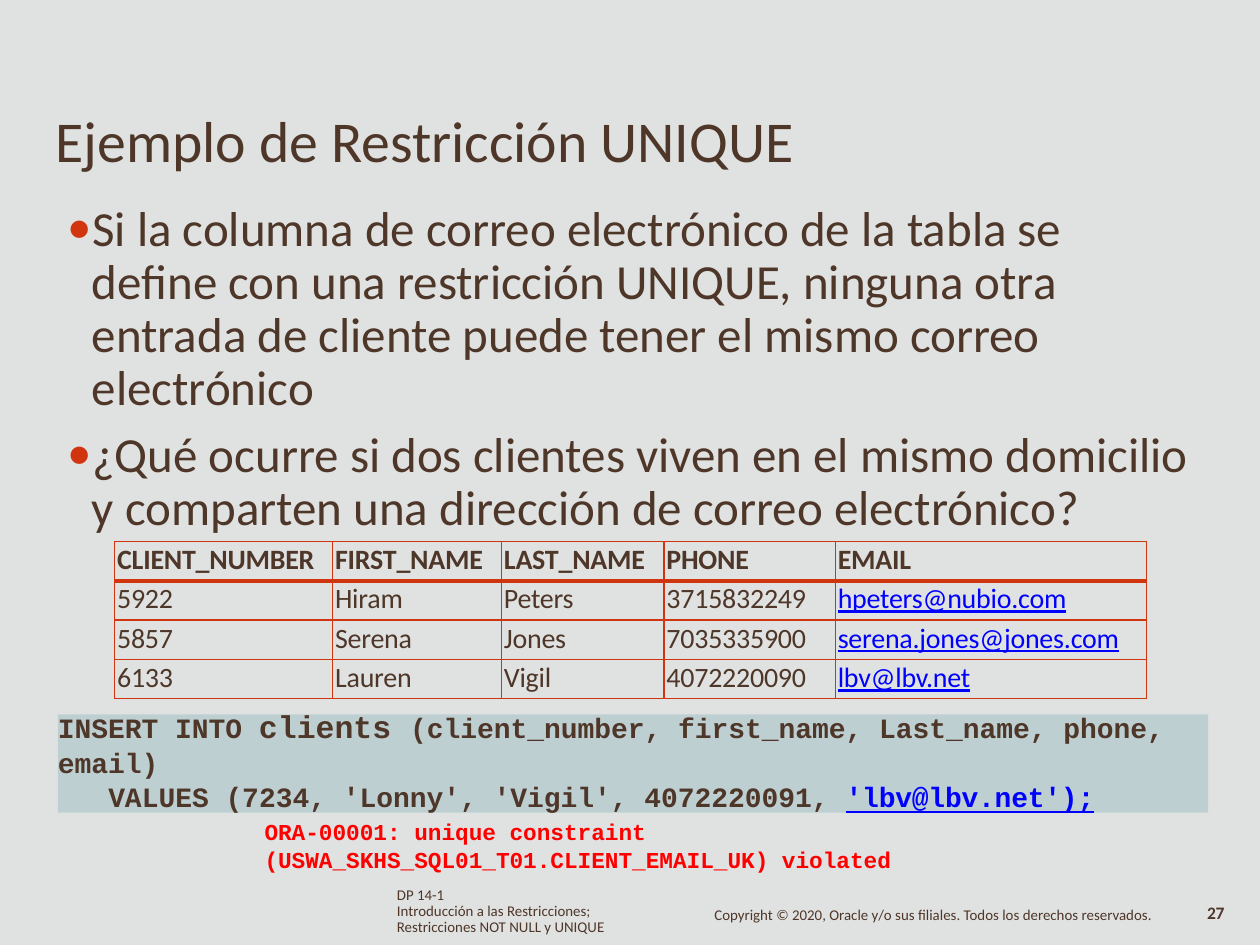
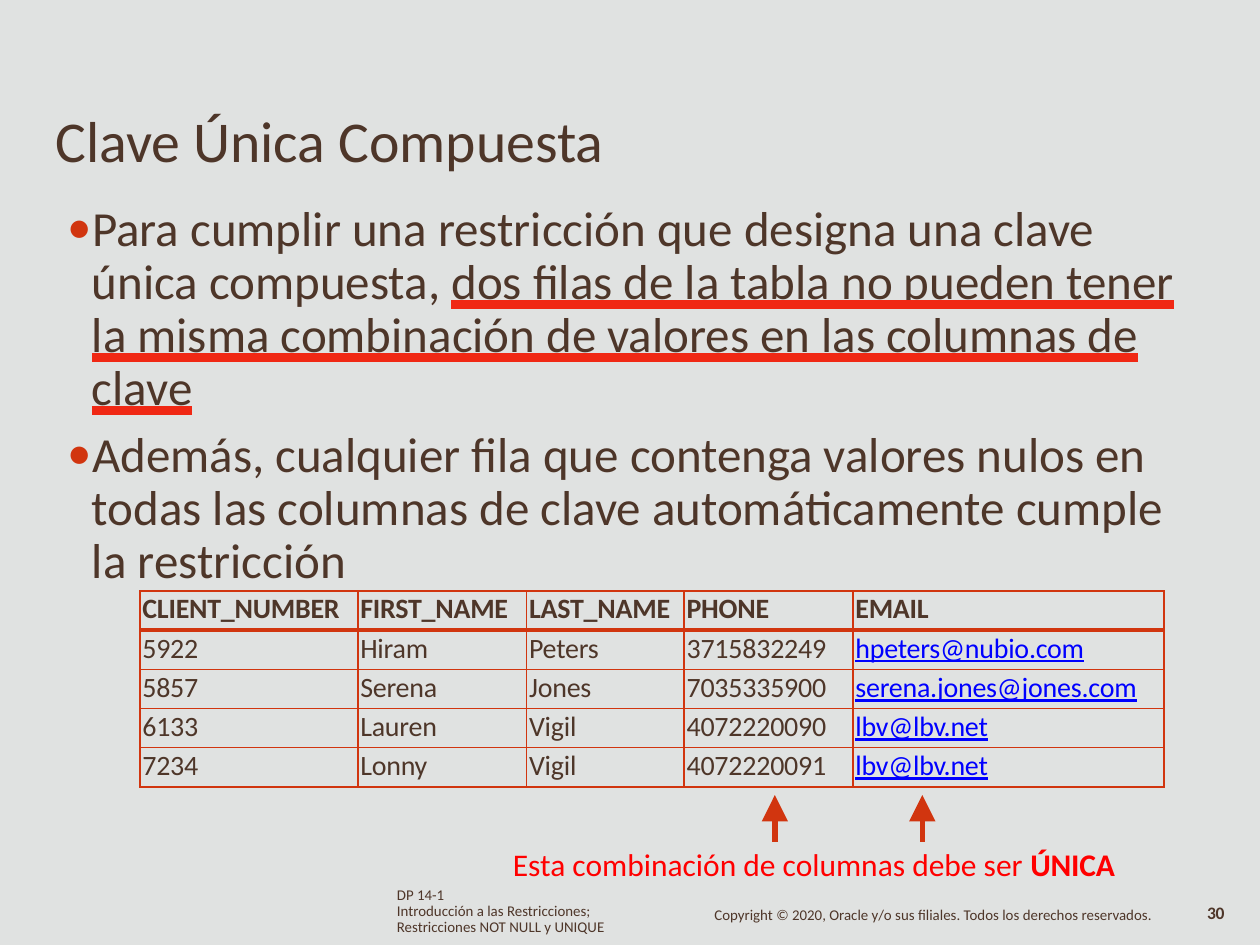
import pptx
import pptx.dml.color
import pptx.enum.shapes
import pptx.enum.text
import pptx.oxml
import pptx.oxml.ns
import pptx.util
import lxml.etree

WIDTH, HEIGHT = 10, 7.5
PAPER, BROWN, RUST, RED = "E0E2E1", "4E3629", "D1350F", "FF0000"
LINK, CODE_FILL, MARK = "0000FF", "9DBEC4", "F02814"
SANS, MONO = "Calibri", "Courier New"

FOOTERS = [
    ((31.4, 93.95, 17.5, 5.3), ["DP 14-1", "Introducción a las Restricciones; Restricciones NOT NULL y UNIQUE"]),
    ((56.6, 96.03, 38, 2), ["Copyright © 2020, Oracle y/o sus filiales. Todos los derechos reservados."]),
]
HEADER = ("CLIENT_NUMBER", "FIRST_NAME", "LAST_NAME", "PHONE", "EMAIL")
CLIENTS = [
    ("5922", "Hiram", "Peters", "3715832249", "hpeters@nubio.com"),
    ("5857", "Serena", "Jones", "7035335900", "serena.jones@jones.com"),
    ("6133", "Lauren", "Vigil", "4072220090", "lbv@lbv.net"),
    ("7234", "Lonny", "Vigil", "4072220091", "lbv@lbv.net"),
]
ROW_HEIGHT = 4.15

UNIQUE_PAGE = {
    "title": "Ejemplo de Restricción UNIQUE",
    "number": "27",
    "bullets": [
        "Si la columna de correo electrónico de la tabla se\vdefine con una restricción UNIQUE, "
        "ninguna otra\ventrada de cliente puede tener el mismo correo\velectrónico",
        "¿Qué ocurre si dos clientes viven en el mismo domicilio\v"
        "y comparten una dirección de correo electrónico?",
    ],
    "corner": (9.1, 57.33),
    "columns": (17.3, 13.4, 12.9, 13.6, 24.7),
    "clients": CLIENTS[:3],
}
COMPOSITE_PAGE = {
    "title": "Clave Única Compuesta",
    "number": "30",
    "bullets": [
        ["Para cumplir una restricción que designa una clave\vúnica compuesta, ",
         ("dos filas de la tabla no pueden tener\vla misma combinación de valores en "
          "las columnas de\vclave", {"mark": MARK})],
        "Además, cualquier fila que contenga valores nulos en\v"
        "todas las columnas de clave automáticamente cumple\vla restricción",
    ],
    "corner": (11.1, 62.53),
    "columns": (17.3, 13.4, 12.5, 13.4, 24.7),
    "clients": CLIENTS,
}
INSERT_LINES = [
    ["INSERT INTO ", ("clients ", {"size": 18}), "(client_number, first_name, Last_name, phone,"],
    "email)",
    ["VALUES (7234, 'Lonny', 'Vigil', 4072220091, ",
     ("'lbv@lbv.net');", {"color": LINK, "underline": True, "tracking": -0.1})],
]
ERROR = "ORA-00001: unique constraint (USWA_SKHS_SQL01_T01.CLIENT_EMAIL_UK) violated"
UNIQUE_NOTE = ["Esta combinación de columnas debe ser ", ("ÚNICA", {"bold": True, "tracking": -0.1})]
ARROW_COLUMNS = (61.5, 73.2)
ARROW_TIP, ARROW_NECK, ARROW_FOOT = 84.13, 86.67, 89.07
ARROW_HEAD_WIDTH, ARROW_HEAD_HEIGHT = 2.1, 2.8


def rgb(code):
    return pptx.dml.color.RGBColor.from_string(code)


def across(percent):
    return pptx.util.Inches(WIDTH * percent / 100)


def down(percent):
    return pptx.util.Inches(HEIGHT * percent / 100)


def place(area):
    left, top, width, height = area
    return across(left), down(top), across(width), down(height)


def add_element(parent, tag, **attributes):
    return lxml.etree.SubElement(parent, pptx.oxml.ns.qn(tag), attributes)


def add_color(parent, code):
    return add_element(add_element(parent, "a:solidFill"), "a:srgbClr", val=code)


def style_span(span, size, font=SANS, color=BROWN, bold=False, underline=False, mark=None, tracking=0):
    span.font.size = pptx.util.Pt(size)
    span.font.name = font
    span.font.bold = bold
    span.font.underline = underline
    span.font.color.rgb = rgb(color)
    properties = span.font._element
    if tracking:
        properties.set("spc", str(round(tracking * 100)))
    if mark:
        properties.set("u", "heavy")
        underline_fill = add_element(properties, "a:uFill")
        add_color(underline_fill, mark)
        properties.find(pptx.oxml.ns.qn("a:latin")).addprevious(underline_fill)


def write_spans(para, content, style):
    for part in [content] if isinstance(content, str) else content:
        text, changes = (part, {}) if isinstance(part, str) else part
        for index, line in enumerate(text.split("\v")):
            if index:
                para.add_line_break()
                add_element(para._p[-1], "a:rPr", sz=str(style["size"] * 100))
            span = para.add_run()
            span.text = line
            style_span(span, **{**style, **changes})


def write_lines(frame, lines, spacing=None, inset=0, **style):
    frame.word_wrap = True
    frame.margin_left = pptx.util.Inches(0.01)
    frame.margin_right = frame.margin_bottom = 0
    frame.margin_top = pptx.util.Inches(inset)
    for index, content in enumerate(lines):
        para = frame.add_paragraph() if index else frame.paragraphs[0]
        if spacing:
            para.line_spacing = pptx.util.Pt(spacing)
        write_spans(para, content, style)


def add_text(page, area, lines, **style):
    box = page.shapes.add_textbox(*place(area))
    write_lines(box.text_frame, lines, **style)
    return box


def add_bullets(page, bullets):
    box = add_text(page, (5.2, 20.57, 90, 38), bullets, size=28, spacing=30.3, inset=0.07)
    for index, para in enumerate(box.text_frame.paragraphs):
        if index:
            para.space_before = pptx.util.Pt(7.8)
        properties = para._p.get_or_add_pPr()
        properties.set("marL", str(pptx.util.Inches(0.2)))
        properties.set("indent", str(pptx.util.Inches(-0.19)))
        add_element(add_element(properties, "a:buClr"), "a:srgbClr", val=RUST)
        add_element(properties, "a:buSzPct", val="100000")
        add_element(properties, "a:buFont", typeface=SANS)
        add_element(properties, "a:buChar", char="•")


def draw_borders(cell, heavy_side):
    properties = cell._tc.get_or_add_tcPr()
    for position, side in enumerate(("L", "R", "T", "B")):
        points = 2.25 if side == heavy_side else 1
        line = add_element(properties, "a:ln" + side, w=str(pptx.util.Pt(points)))
        add_color(line, RUST)
        properties.insert(position, line)


def add_clients(page, corner, columns, clients):
    rows = [HEADER] + clients
    area = (*corner, sum(columns), ROW_HEIGHT * len(rows))
    table = page.shapes.add_table(len(rows), len(columns), *place(area)).table
    table.first_row = table.horz_banding = False
    for column, width in zip(table.columns, columns):
        column.width = across(width)
    for row_index, values in enumerate(rows):
        table.rows[row_index].height = down(ROW_HEIGHT)
        for column_index, value in enumerate(values):
            cell = table.cell(row_index, column_index)
            is_link = row_index > 0 and HEADER[column_index] == "EMAIL"
            write_lines(cell.text_frame, [value], size=16, bold=row_index == 0, tracking=-0.1,
                        color=LINK if is_link else BROWN, underline=is_link)
            cell.margin_left = pptx.util.Inches(0.02)
            cell.margin_top = pptx.util.Inches(0.01)
            cell.margin_right = cell.margin_bottom = 0
            cell.fill.background()
            draw_borders(cell, {0: "B", 1: "T"}.get(row_index))


def paint(shape, color):
    shape.shadow.inherit = False
    shape.line.fill.background()
    shape.fill.solid()
    shape.fill.fore_color.rgb = rgb(color)


def add_shape(page, kind, area, color):
    shape = page.shapes.add_shape(kind, *place(area))
    paint(shape, color)
    return shape


def add_backdrop(page):
    builder = page.shapes.build_freeform(across(100), 0)
    builder.add_line_segments([(0, 0), (0, down(100)), (across(100), down(100))])
    paint(builder.convert_to_shape(), PAPER)


def add_insert_code(page):
    shape = add_shape(page, pptx.enum.shapes.MSO_SHAPE.RECTANGLE, (4.6, 75.6, 91.3, 10.4), CODE_FILL)
    fill_color = shape._element.spPr.find(".//" + pptx.oxml.ns.qn("a:srgbClr"))
    add_element(fill_color, "a:alpha", val="50000")
    frame = shape.text_frame
    frame.vertical_anchor = pptx.enum.text.MSO_ANCHOR.TOP
    write_lines(frame, INSERT_LINES, size=16, font=MONO, bold=True)
    frame.margin_left = 0
    for para, spacing in zip(frame.paragraphs, (17.4, 19.5, 19.7)):
        para.alignment = pptx.enum.text.PP_ALIGN.LEFT
        para.line_spacing = pptx.util.Pt(spacing)
    frame.paragraphs[-1]._p.get_or_add_pPr().set("marL", str(pptx.util.Inches(0.4)))


def add_arrow(page, column):
    stem = page.shapes.add_connector(
        pptx.enum.shapes.MSO_CONNECTOR.STRAIGHT,
        across(column), down(ARROW_FOOT), across(column), down(ARROW_NECK))
    stem.line.color.rgb = rgb(RUST)
    stem.line.width = pptx.util.Pt(3)
    add_element(stem._element.spPr, "a:effectLst")
    head = (column - ARROW_HEAD_WIDTH / 2, ARROW_TIP, ARROW_HEAD_WIDTH, ARROW_HEAD_HEIGHT)
    add_shape(page, pptx.enum.shapes.MSO_SHAPE.ISOSCELES_TRIANGLE, head, RUST)


def add_page(deck, content):
    page = deck.slides.add_slide(deck.slide_layouts[6])
    add_backdrop(page)
    add_text(page, (4.3, 10.93, 68.6, 7.73), [content["title"]], size=33, inset=0.01)
    add_bullets(page, content["bullets"])
    add_clients(page, content["corner"], content["columns"], content["clients"])
    for area, lines in FOOTERS:
        add_text(page, area, lines, size=8.5, spacing=9.2)
    add_text(page, (95.7, 95.73, 3, 2.3), [content["number"]],
             size=10, spacing=10.4, bold=True, tracking=-0.2)
    return page


def main():
    deck = pptx.Presentation()
    deck.slide_width = pptx.util.Inches(WIDTH)
    deck.slide_height = pptx.util.Inches(HEIGHT)

    page = add_page(deck, UNIQUE_PAGE)
    add_insert_code(page)
    add_text(page, (20.9, 86.43, 51, 6.1), [ERROR], size=13, font=MONO, color=RED, bold=True, inset=0.01)

    page = add_page(deck, COMPOSITE_PAGE)
    for column in ARROW_COLUMNS:
        add_arrow(page, column)
    add_text(page, (40.6, 90.03, 49.5, 3.73), [UNIQUE_NOTE], size=18, spacing=18.1, color=RED)

    deck.save("out.pptx")


if __name__ == "__main__":
    main()
